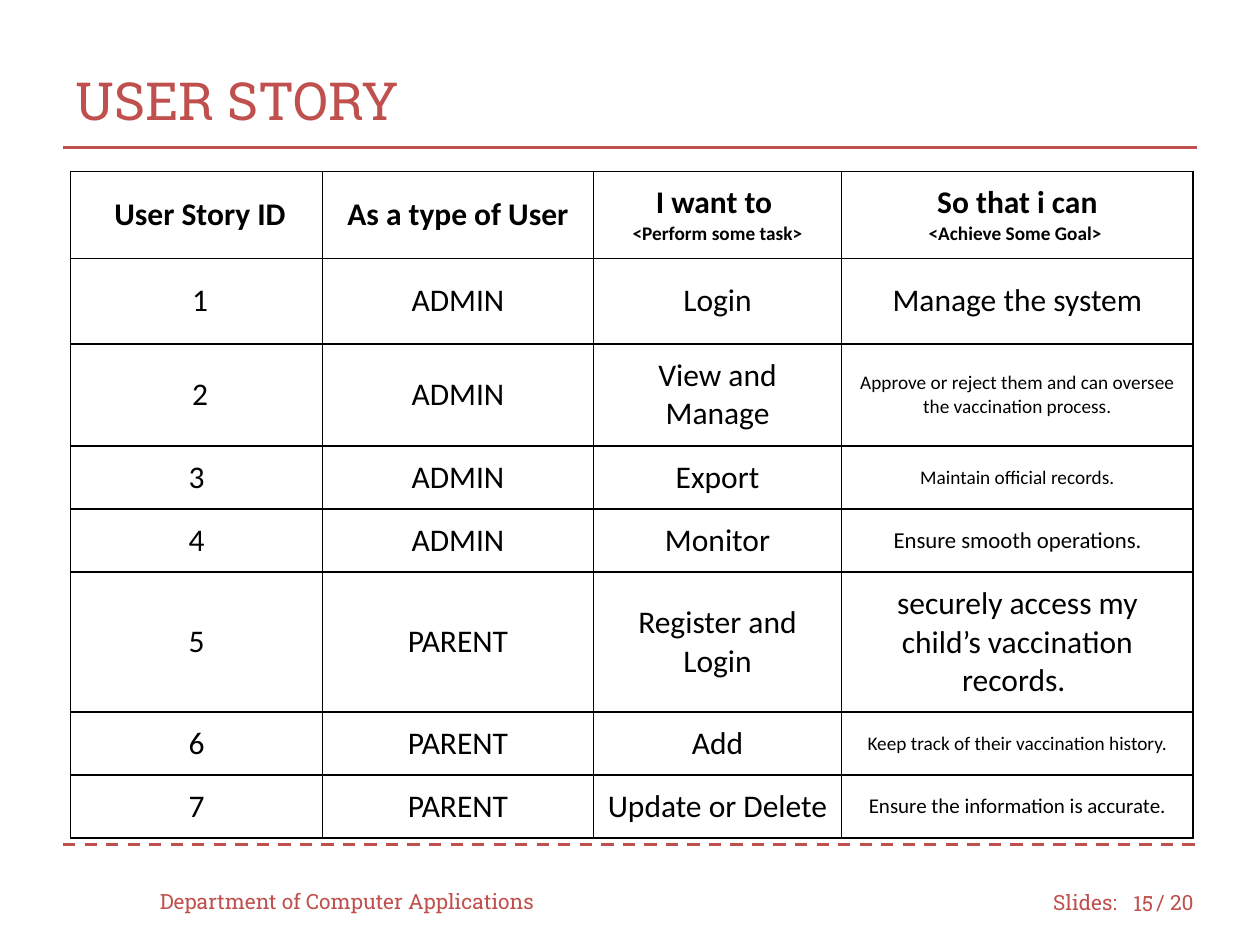
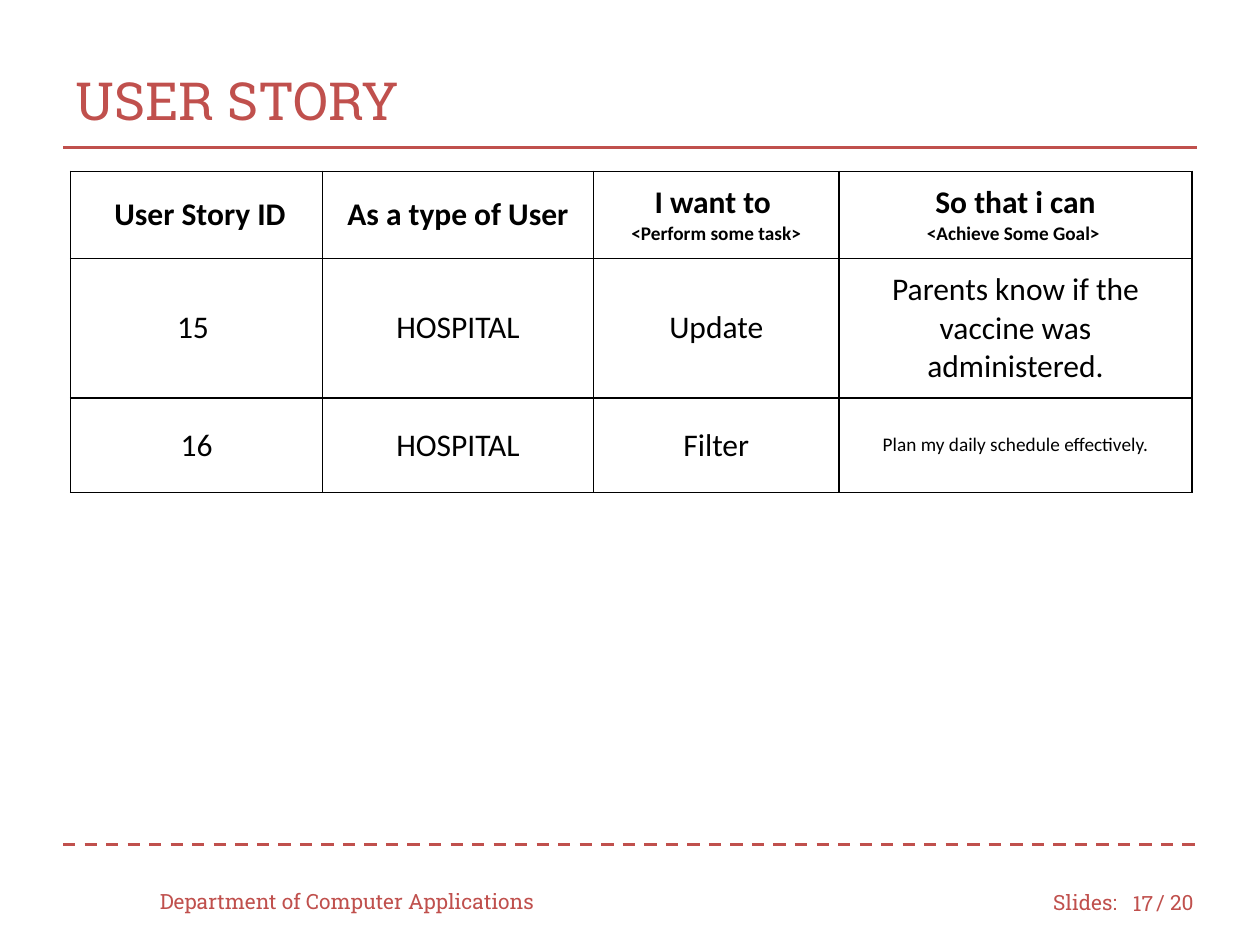
from dataclasses import dataclass

from lxml.etree import SubElement
from pptx import Presentation
from pptx.dml.color import RGBColor
from pptx.enum.dml import MSO_LINE
from pptx.enum.shapes import MSO_CONNECTOR
from pptx.enum.text import MSO_ANCHOR as Anchor, PP_ALIGN as Align
from pptx.oxml import parse_xml
from pptx.oxml.ns import nsdecls, qn
from pptx.slide import Slide
from pptx.table import _Cell as Cell
from pptx.text.text import _Paragraph as Paragraph
from pptx.util import Inches, Pt

RED = RGBColor(0xC0, 0x50, 0x4D)
BLACK = RGBColor(0, 0, 0)
WHITE = RGBColor(0xFF, 0xFF, 0xFF)
SLAB = "Roboto Slab"
BODY = "Calibri"

SLIDE_W, SLIDE_H = Inches(10), Inches(7.5)
COLUMNS, ROWS = 100, 75
MARGIN = 5
CELL_INSET = 1
TABLE_LEFT, TABLE_TOP = 5.6, 13.6
HEADER_ROW = 6.9
TOTAL_SLIDES = 20


@dataclass(frozen=True)
class Line:
    text: str
    size: float = 18


@dataclass(frozen=True)
class Rule:
    row: float
    dash: MSO_LINE | None = None


@dataclass(frozen=True)
class Label:
    text: str
    left: float
    top: float
    width: float
    height: float = 4
    size: float = 12
    align: Align = Align.LEFT


@dataclass(frozen=True)
class Story:
    number: str
    user: str
    task: str
    goal: str
    goal_size: float
    rows: float

    def cells(self) -> list[list[Line]]:
        return [[Line(self.number)], [Line(self.user)], [Line(self.task)],
                [Line(self.goal, self.goal_size)]]


@dataclass(frozen=True)
class StoryPage:
    number: int
    widths: tuple[float, ...]
    stories: tuple[Story, ...]


HEADER = [
    [Line(" User Story ID")],
    [Line("As a type of User")],
    [Line("I want to "), Line("<Perform some task>", 11)],
    [Line("So that i can"), Line("<Achieve Some Goal> ", 11)],
]
RULES = (Rule(11.7), Rule(67, MSO_LINE.DASH))
LABELS = (
    Label("USER STORY", MARGIN, 3.3, 90, 9.2, 30),
    Label("Department of Computer Applications", 11.7, 69.5, 33.3),
    Label("Slides:", 82.6, 69.6, 7.5),
    Label(f"/ {TOTAL_SLIDES}", 90.8, 69.6, 5.8),
)
PAGES = (
    StoryPage(15, (20, 21.5, 19.7, 27.9), (
        Story(" 1", "ADMIN", "Login", "Manage the system", 18, 6.8),
        Story(" 2", "ADMIN", "View and Manage",
              "Approve or reject them and can oversee the vaccination process.", 11, 8.1),
        Story("3", "ADMIN", "Export", "Maintain official records.", 11, 5),
        Story("4", "ADMIN", "Monitor", "Ensure smooth operations.", 13, 5),
        Story("5", "PARENT", "Register and Login",
              "securely access my child’s vaccination records. ", 18, 11.1),
        Story("6", "PARENT", "Add", "Keep track of their vaccination history.", 11, 5),
        Story("7", "PARENT", "Update or Delete",
              "Ensure the information is accurate.", 12, 5),
    )),
    StoryPage(17, (20, 21.5, 19.5, 28), (
        Story("15 ", "HOSPITAL", "Update",
              "Parents know if the vaccine was administered.", 18, 11.1),
        Story("16", "HOSPITAL", "Filter", "Plan my daily schedule effectively.", 11, 7.5),
    )),
)


def across(columns: float) -> int:
    return round(SLIDE_W * columns / COLUMNS)


def down(rows: float) -> int:
    return round(SLIDE_H * rows / ROWS)


def write(p: Paragraph, text: str, *, size: float, font: str = BODY, color: RGBColor = BLACK,
          bold: bool = False, align: Align = Align.CENTER) -> None:
    p.alignment = align
    r = p.add_run()
    r.text = text
    r.font.name, r.font.size, r.font.bold = font, Pt(size), bold
    r.font.color.rgb = color


def add_label(s: Slide, label: Label) -> None:
    sp = s.shapes.add_textbox(across(label.left), down(label.top),
                              across(label.width), down(label.height))
    tf = sp.text_frame
    tf.word_wrap = True
    tf.vertical_anchor = Anchor.MIDDLE
    write(tf.paragraphs[0], label.text, size=label.size, font=SLAB, color=RED, align=label.align)


def add_rule(s: Slide, rule: Rule) -> None:
    sp = s.shapes.add_connector(MSO_CONNECTOR.STRAIGHT, across(MARGIN), down(rule.row),
                                across(COLUMNS - MARGIN), down(rule.row))
    sp.line.color.rgb = RED
    sp.line.width = Pt(1.75)
    if rule.dash:
        sp.line.dash_style = rule.dash
    SubElement(sp._element.spPr, qn("a:effectLst"))


def add_borders(cell: Cell) -> None:
    tc_pr = cell._tc.get_or_add_tcPr()
    for side in "LRTB":
        tc_pr.append(parse_xml(
            f'<a:ln{side} {nsdecls("a")} w="{Pt(1)}"><a:solidFill>'
            f'<a:srgbClr val="{BLACK}"/></a:solidFill></a:ln{side}>'))


def fill_cell(cell: Cell, lines: list[Line], *, bold: bool) -> None:
    add_borders(cell)
    cell.fill.solid()
    cell.fill.fore_color.rgb = WHITE
    cell.vertical_anchor = Anchor.MIDDLE
    cell.margin_left = cell.margin_right = across(CELL_INSET)
    cell.margin_top = cell.margin_bottom = down(CELL_INSET)
    tf = cell.text_frame
    for i, line in enumerate(lines):
        p = tf.add_paragraph() if i else tf.paragraphs[0]
        write(p, line.text, size=line.size, bold=bold)


def add_story_table(s: Slide, page: StoryPage) -> None:
    heights = [HEADER_ROW, *(story.rows for story in page.stories)]
    content = [HEADER, *(story.cells() for story in page.stories)]
    table = s.shapes.add_table(len(heights), len(page.widths), across(TABLE_LEFT),
                               down(TABLE_TOP), across(sum(page.widths)),
                               down(sum(heights))).table
    table.horz_banding = False
    for column, width in zip(table.columns, page.widths):
        column.width = across(width)
    for i, (row, height, cells) in enumerate(zip(table.rows, heights, content)):
        row.height = down(height)
        for cell, lines in zip(row.cells, cells):
            fill_cell(cell, lines, bold=i == 0)


def add_page(prs: Presentation, page: StoryPage) -> None:
    s = prs.slides.add_slide(prs.slide_layouts[6])
    for rule in RULES:
        add_rule(s, rule)
    number = Label(str(page.number), 88.3, 69.7, 4.2, align=Align.RIGHT)
    for label in (*LABELS, number):
        add_label(s, label)
    add_story_table(s, page)


def main() -> None:
    prs = Presentation()
    prs.slide_width, prs.slide_height = SLIDE_W, SLIDE_H
    for page in PAGES:
        add_page(prs, page)
    prs.save("out.pptx")


if __name__ == "__main__":
    main()
